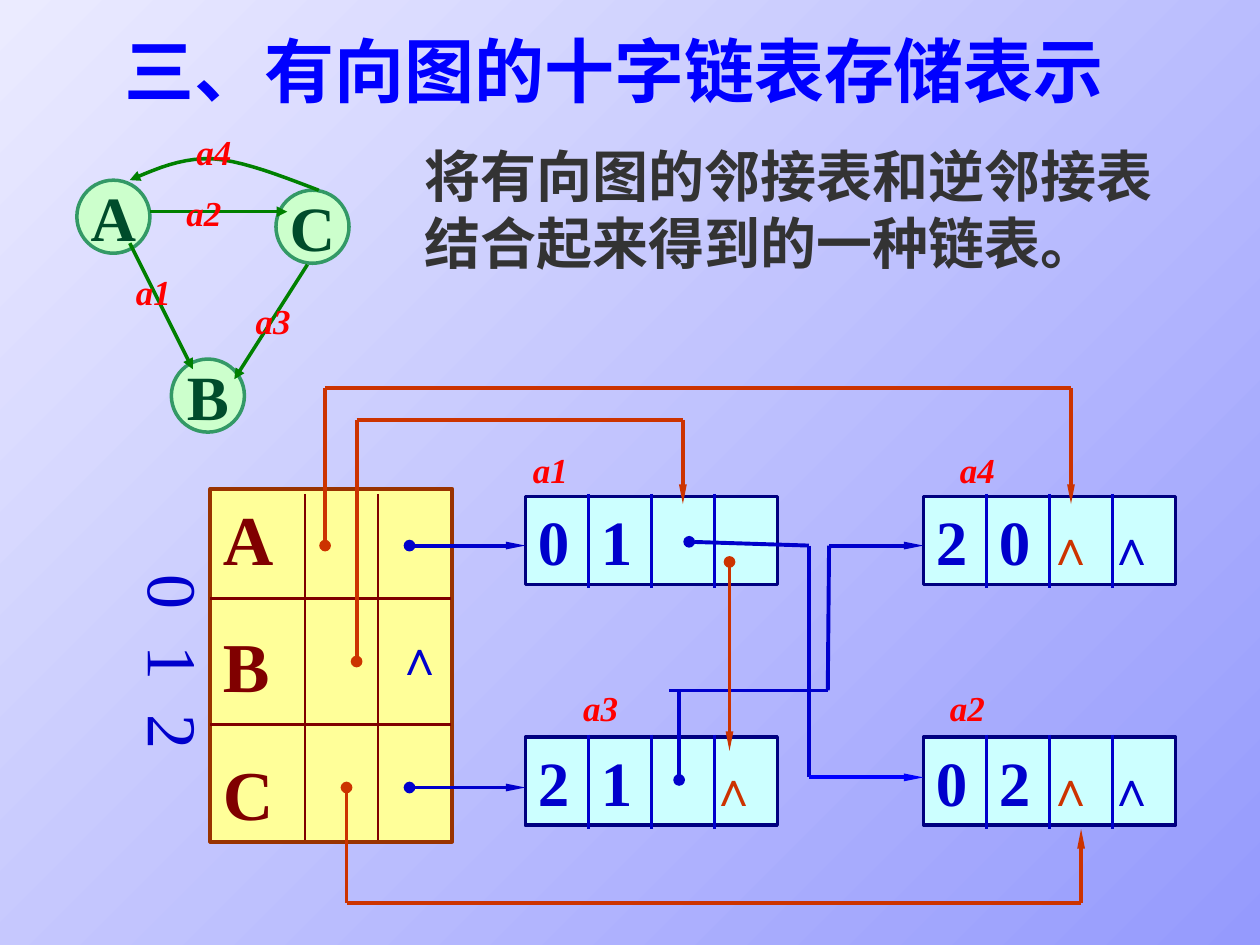
import pptx
import pptx.dml.color
import pptx.enum.shapes
import pptx.enum.text
import pptx.oxml.ns
import pptx.util
from lxml import etree

RGB = pptx.dml.color.RGBColor
Inches = pptx.util.Inches
Pt = pptx.util.Pt
Shape = pptx.enum.shapes.MSO_SHAPE
Anchor = pptx.enum.text.MSO_ANCHOR
Align = pptx.enum.text.PP_ALIGN
qn = pptx.oxml.ns.qn

FONT = "Times New Roman"
SKY_LIGHT, SKY_DARK = RGB(0xEB, 0xEB, 0xFF), RGB(0x95, 0x9A, 0xFD)
BLUE, GRAY, RED = RGB(0, 0, 0xFF), RGB(0x33, 0x33, 0x33), RGB(0xFF, 0, 0)
OUT_LINK, IN_LINK = RGB(0, 0, 0xCC), RGB(0xCC, 0x33, 0)
VERTEX_FILL, VERTEX_LINE = RGB(0xCC, 0xFF, 0xCC), RGB(0x33, 0x99, 0x66)
VERTEX_TEXT, EDGE = RGB(0, 0x4C, 0x2B), RGB(0, 0x80, 0)
HEADS_FILL, HEADS_LINE = RGB(0xFF, 0xFF, 0x99), RGB(0x99, 0x33, 0)
MAROON = RGB(0x80, 0, 0)
NODE_FILL, NODE_LINE = RGB(0xCC, 0xFF, 0xFF), RGB(0, 0, 0x80)

NODE_COLUMNS, NODE_ROWS = (4.17, 7.33), (3.94, 5.85)
NODE_WIDTH, NODE_HEIGHT, FIELD = 2, 0.7, 0.5
NIL_IN, NIL_OUT = ("∧", IN_LINK), ("∧", OUT_LINK)


def set_font(font, size, color, bold=True, italic=False):
    font.name, font.size, font.bold, font.italic = FONT, Pt(size), bold, italic
    font.color.rgb = color


def add_tabs(paragraph, stops):
    tabs = etree.SubElement(paragraph._p.get_or_add_pPr(), qn("a:tabLst"))
    for stop in stops:
        etree.SubElement(tabs, qn("a:tab"), pos=str(Inches(stop)), algn="l")


def fill_placeholder(placeholder, box, text, size, color):
    placeholder.left, placeholder.top, placeholder.width, placeholder.height = map(Inches, box)
    frame = placeholder.text_frame
    frame.auto_size = pptx.enum.text.MSO_AUTO_SIZE.NONE
    frame.vertical_anchor = Anchor.TOP
    frame.text = text
    paragraph = frame.paragraphs[0]
    paragraph.alignment = Align.LEFT
    paragraph.space_before = Pt(0)
    properties = paragraph._p.get_or_add_pPr()
    properties.set("marL", "0")
    properties.set("indent", "0")
    etree.SubElement(properties, qn("a:buNone"))
    set_font(paragraph.font, size, color)


def add_label(slide, left, top, text):
    frame = slide.shapes.add_textbox(*map(Inches, (left, top, 0.55, 0.44))).text_frame
    frame.word_wrap = True
    frame.text = text
    set_font(frame.paragraphs[0].font, 20, RED, italic=True)


def add_outlined(slide, kind, box, fill, line, width):
    shape = slide.shapes.add_shape(kind, *map(Inches, box))
    shape.shadow.inherit = False
    shape.fill.solid()
    shape.fill.fore_color.rgb = fill
    shape.line.color.rgb = line
    shape.line.width = Pt(width)
    return shape


def add_ends(stroke, head, tail, slim):
    """Put an oval at the start and an arrowhead at the end, as asked."""
    outline = stroke._element.spPr.find(qn("a:ln"))
    if head:
        etree.SubElement(outline, qn("a:headEnd"), type="oval")
    if tail:
        size = {"w": "sm", "len": "lg"} if slim else {}
        etree.SubElement(outline, qn("a:tailEnd"), type="triangle", **size)


def add_path(slide, points, color, width=2.25, head=False, tail=False, slim=True):
    """Join the points with straight lines."""
    last = len(points) - 2
    for i, (start, end) in enumerate(zip(points, points[1:])):
        segment = slide.shapes.add_connector(
            pptx.enum.shapes.MSO_CONNECTOR.STRAIGHT, *map(Inches, start + end))
        segment.line.color.rgb = color
        segment.line.width = Pt(width)
        add_ends(segment, head and i == 0, tail and i == last, slim)
        etree.SubElement(segment._element.spPr, qn("a:effectLst"))


def bezier(points, steps=10):
    for step in range(1, steps + 1):
        t = step / steps
        weights = ((1 - t) ** 3, 3 * t * (1 - t) ** 2, 3 * t * t * (1 - t), t ** 3)
        yield tuple(Inches(sum(w * p[axis] for w, p in zip(weights, points)))
                    for axis in (0, 1))


def add_curved_edge(slide, start, *curves):
    builder = slide.shapes.build_freeform(Inches(start[0]), Inches(start[1]))
    for curve in curves:
        builder.add_line_segments(list(bezier((start,) + curve)), close=False)
        start = curve[-1]
    edge = builder.convert_to_shape()
    edge.shadow.inherit = False
    edge.fill.background()
    edge.line.color.rgb = EDGE
    edge.line.width = Pt(2)
    add_ends(edge, False, True, False)


def add_vertex(slide, left, top, name):
    vertex = add_outlined(slide, Shape.OVAL, (left, top, 0.58, 0.58), VERTEX_FILL, VERTEX_LINE, 2)
    frame = vertex.text_frame
    frame.word_wrap = False
    frame.vertical_anchor = Anchor.MIDDLE
    frame.text = name
    frame.paragraphs[0].alignment = Align.CENTER
    set_font(frame.paragraphs[0].font, 36, VERTEX_TEXT)


def add_graph(slide):
    for vertex in ((0.61, 1.43, "A"), (1.36, 2.85, "B"), (2.19, 1.51, "C")):
        add_vertex(slide, *vertex)
    for edge in (((1.03, 1.93), (1.53, 2.93)), ((1.19, 1.68), (2.28, 1.68)),
                 ((2.44, 2.1), (1.86, 3.01))):
        add_path(slide, edge, EDGE, 2, tail=True, slim=False)
    add_curved_edge(slide, (2.53, 1.51),
                    ((2.24, 1.4), (1.94, 1.28), (1.69, 1.26)),
                    ((1.44, 1.25), (1.24, 1.34), (1.03, 1.43)))


def add_head_list(slide):
    heads = add_outlined(slide, Shape.RECTANGLE, (1.67, 3.88, 1.92, 2.8),
                         HEADS_FILL, HEADS_LINE, 2.25)
    frame = heads.text_frame
    frame.vertical_anchor = Anchor.TOP
    frame.text = "A\nB\nC"
    for i, paragraph in enumerate(frame.paragraphs):
        paragraph.alignment = Align.LEFT
        paragraph.space_before = Pt(25 if i else 0)
        set_font(paragraph.font, 40, MAROON)
    for y in (4.75, 5.75):
        add_path(slide, ((1.67, y), (3.58, y)), MAROON)
    for x in (2.42, 3):
        add_path(slide, ((x, 3.92), (x, 6.67)), MAROON, 1.5)

    indices = slide.shapes.add_textbox(*map(Inches, (0.92, 4.46, 0.86, 1.6))).text_frame
    indices._txBody.bodyPr.set("vert", "eaVert")
    indices.margin_left = indices.margin_right = Inches(0.05)
    indices.margin_top = indices.margin_bottom = Inches(0.1)
    indices.word_wrap = True
    indices.text = "0\t1\t2"
    add_tabs(indices.paragraphs[0], (0.56, 1.11))
    set_font(indices.paragraphs[0].font, 40, OUT_LINK, bold=False)

    nil = slide.shapes.add_textbox(*map(Inches, (3.04, 4.92, 0.51, 0.57))).text_frame
    nil.text = "∧"
    set_font(nil.paragraphs[0].font, 28, OUT_LINK)


def add_arc_node(slide, column, row, tail, head, *links):
    """Draw one arc: tail index, head index, then its in-link and out-link."""
    left, top = NODE_COLUMNS[column], NODE_ROWS[row]
    node = add_outlined(slide, Shape.RECTANGLE, (left, top, NODE_WIDTH, NODE_HEIGHT),
                        NODE_FILL, NODE_LINE, 2)
    node.text_frame.vertical_anchor = Anchor.TOP
    fields = node.text_frame.paragraphs[0]
    fields.alignment = Align.LEFT
    add_tabs(fields, (0.5, 0.88, 1.36))
    parts = [(f"{tail}\t{head}", 36, OUT_LINK)]
    parts += [("\t" + mark, 28, color) for mark, color in links]
    for text, size, color in parts:
        run = fields.add_run()
        run.text = text
        set_font(run.font, size, color)
    for i in (1, 2, 3):
        x = left + i * FIELD
        add_path(slide, ((x, top - 0.02), (x, top + 0.73)), OUT_LINK, 1.5)


def add_links(slide):
    for y in (4.33, 6.25):
        add_path(slide, ((3.25, y), (4.17, y)), OUT_LINK, head=True, tail=True)
    add_path(slide, ((5.47, 4.3), (6.42, 4.33), (6.42, 6.17)), OUT_LINK, head=True)
    add_path(slide, ((6.42, 6.17), (7.33, 6.17)), BLUE, tail=True)
    add_path(slide, ((5.39, 6.19), (5.39, 5.48)), OUT_LINK, head=True)
    add_path(slide, ((5.31, 5.48), (6.57, 5.48), (6.58, 4.33), (7.33, 4.33)), OUT_LINK, tail=True)
    for points in (((2.58, 4.33), (2.58, 3.08), (8.5, 3.08), (8.5, 4)),
                   ((5.79, 4.46), (5.79, 5.96)),
                   ((2.83, 5.25), (2.83, 3.33), (5.42, 3.33), (5.42, 4)),
                   ((2.75, 6.25), (2.75, 7.17), (8.58, 7.17), (8.58, 6.58))):
        add_path(slide, points, IN_LINK, head=True, tail=True)


def main():
    deck = pptx.Presentation()
    deck.slide_width, deck.slide_height = Inches(10), Inches(7.5)
    slide = deck.slides.add_slide(deck.slide_layouts[1])
    sky = slide.background.fill
    sky.gradient()
    sky.gradient_angle = 315
    for stop, color in zip(sky.gradient_stops, (SKY_LIGHT, SKY_DARK)):
        stop.color.rgb = color

    fill_placeholder(slide.shapes.title, (0.89, 0.17, 8.25, 0.77),
                     "三、有向图的十字链表存储表示", 40, BLUE)
    fill_placeholder(slide.placeholders[1], (3.27, 1.07, 6.14, 1.17),
                     "将有向图的邻接表和逆邻接表结合起来得到的一种链表。", 32, GRAY)
    add_graph(slide)
    add_head_list(slide)
    add_arc_node(slide, 0, 0, 0, 1)
    add_arc_node(slide, 1, 0, 2, 0, NIL_IN, NIL_OUT)
    add_arc_node(slide, 0, 1, 2, 1, ("", OUT_LINK), NIL_IN)
    add_arc_node(slide, 1, 1, 0, 2, NIL_IN, NIL_OUT)
    add_links(slide)
    for label in ((0.98, 2.1, "a1"), (1.38, 1.47, "a2"), (1.93, 2.33, "a3"), (1.46, 0.99, "a4"),
                  (4.13, 3.51, "a1"), (7.44, 5.4, "a2"), (4.53, 5.4, "a3"), (7.52, 3.51, "a4")):
        add_label(slide, *label)
    deck.save("out.pptx")


if __name__ == "__main__":
    main()
